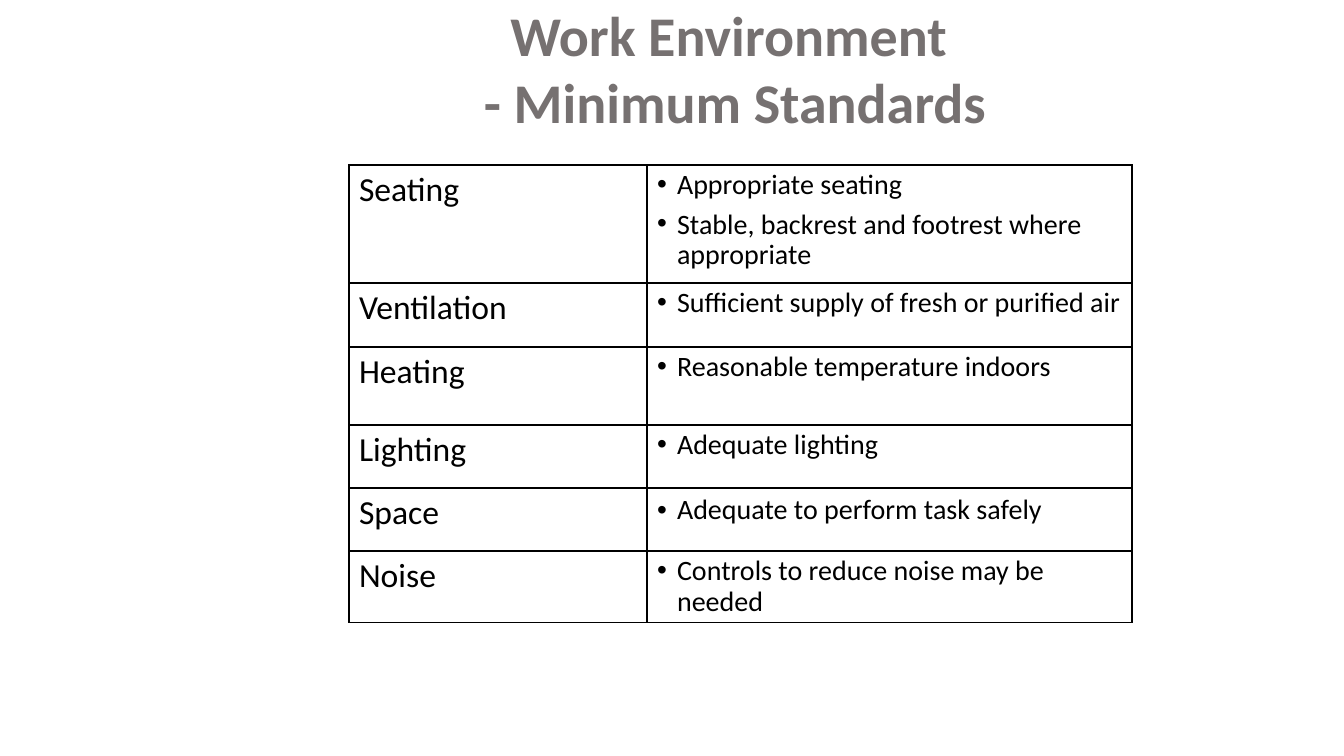
"""Build the slide on minimum standards for the work environment."""
import dataclasses

import lxml.etree
import pptx
import pptx.dml.color
import pptx.enum.text
import pptx.oxml.ns
import pptx.util

SCALE = 914400 / 100.8


@dataclasses.dataclass(frozen=True)
class Theme:
    font: str = "Calibri"
    ink: str = "000000"
    grey: str = "767171"
    title: int = 40
    label: int = 24
    item: int = 20
    rule: int = 1


THEME = Theme()
TITLE = ["Work Environment ", "- Minimum Standards"]
COLS = [298, 485]
ROWS = [
    (118, "Seating", ["Appropriate seating", "Stable, backrest and footrest where appropriate"]),
    (64, "Ventilation", ["Sufficient supply of fresh or purified air"]),
    (78, "Heating", ["Reasonable temperature indoors"]),
    (63, "Lighting", ["Adequate lighting"]),
    (63, "Space", ["Adequate to perform task safely"]),
    (63, "Noise", ["Controls to reduce noise may be needed"]),
]
LOOSE = {"Space"}


def px(count):
    return pptx.util.Emu(round(count * SCALE))


def add_node(parent, tag, **attrs):
    node = lxml.etree.SubElement(parent, pptx.oxml.ns.qn(tag))
    for key, value in attrs.items():
        node.set(key, str(value))
    return node


def add_bullet(para, indent):
    props = para._p.get_or_add_pPr()
    props.set("marL", str(px(indent)))
    props.set("indent", str(-px(indent)))
    add_node(props, "a:buFont", typeface="Arial")
    add_node(props, "a:buChar", char="•")


def write(frame, lines, *, size, color=THEME.ink, bold=False, align=None,
          space=None, gap=0, bullet=False):
    for index, line in enumerate(lines):
        para = frame.add_paragraph() if index else frame.paragraphs[0]
        para.alignment = align
        if space:
            para.line_spacing = space
        if index and gap:
            para.space_before = pptx.util.Pt(gap)
        if bullet:
            add_bullet(para, 20)
        run = para.add_run()
        run.text = line
        run.font.name = THEME.font
        run.font.size = pptx.util.Pt(size)
        run.font.bold = bold
        run.font.color.rgb = pptx.dml.color.RGBColor.from_string(color)


def frame_cell(cell):
    props = cell._tc.get_or_add_tcPr()
    for side in ("L", "R", "T", "B"):
        line = add_node(props, f"a:ln{side}", w=pptx.util.Pt(THEME.rule))
        fill = add_node(line, "a:solidFill")
        add_node(fill, "a:srgbClr", val=THEME.ink)
    cell.fill.background()


def add_grid(slide, left, top):
    heights = [row[0] for row in ROWS]
    table = slide.shapes.add_table(
        len(ROWS), len(COLS), px(left), px(top), px(sum(COLS)), px(sum(heights))).table
    table.first_row = table.horz_banding = False
    for column, width in zip(table.columns, COLS):
        column.width = px(width)
    for row, (height, label, items) in zip(table.rows, ROWS):
        row.height = px(height)
        for cell in row.cells:
            frame_cell(cell)
        write(row.cells[0].text_frame, [label], size=THEME.label)
        write(row.cells[1].text_frame, items, size=THEME.item, bullet=True,
              space=None if label in LOOSE else 0.9, gap=6)


def add_title(slide, left, top, width, height):
    frame = slide.shapes.add_textbox(px(left), px(top), px(width), px(height)).text_frame
    frame.word_wrap = True
    frame.vertical_anchor = pptx.enum.text.MSO_ANCHOR.BOTTOM
    write(frame, TITLE, size=THEME.title, color=THEME.grey, bold=True,
          align=pptx.enum.text.PP_ALIGN.CENTER)


def main():
    deck = pptx.Presentation()
    deck.slide_width, deck.slide_height = px(1344), px(756)
    slide = deck.slides.add_slide(deck.slide_layouts[6])
    add_grid(slide, 349, 165)
    add_title(slide, 294, 53, 882, 87)
    deck.save("out.pptx")


if __name__ == "__main__":
    main()
